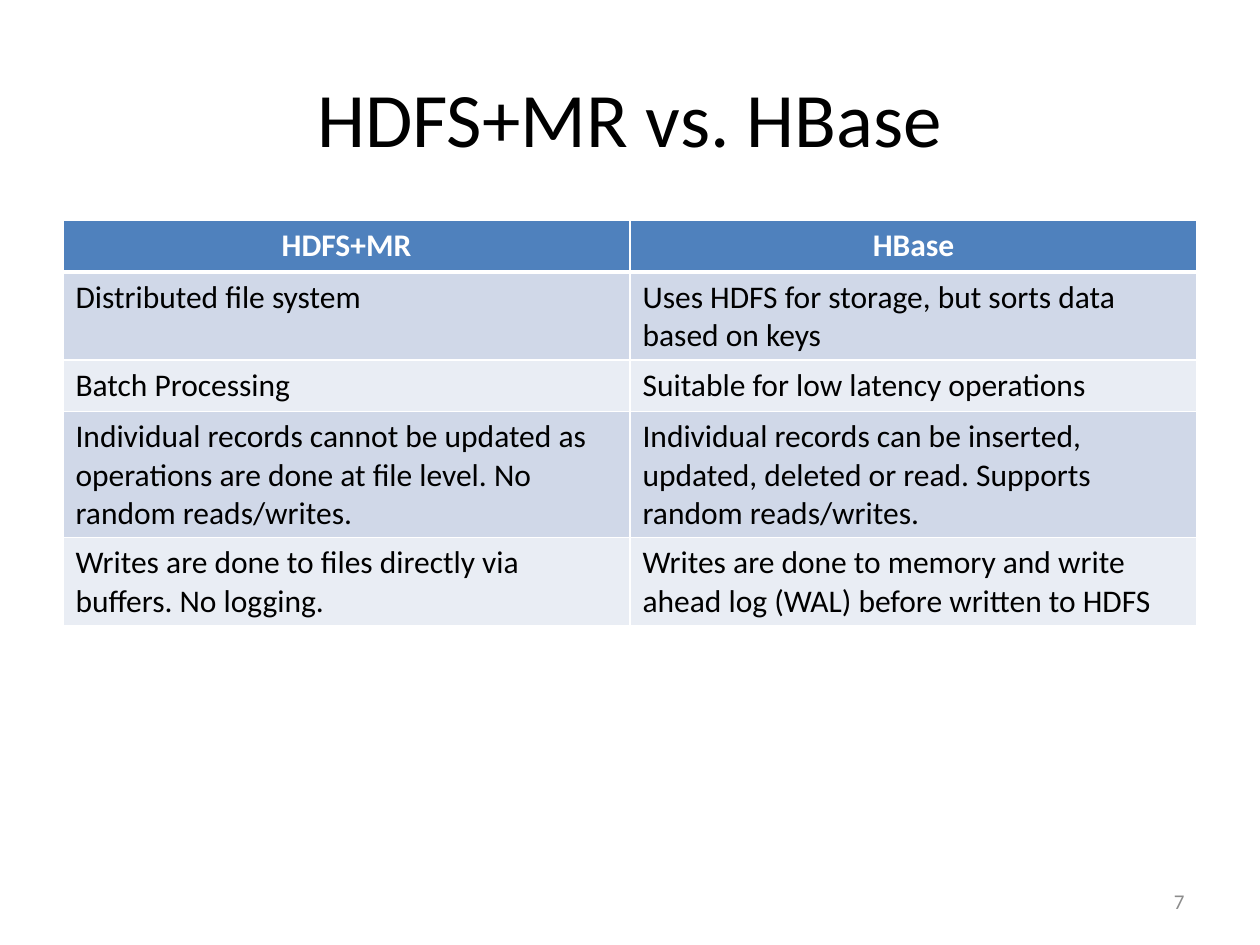
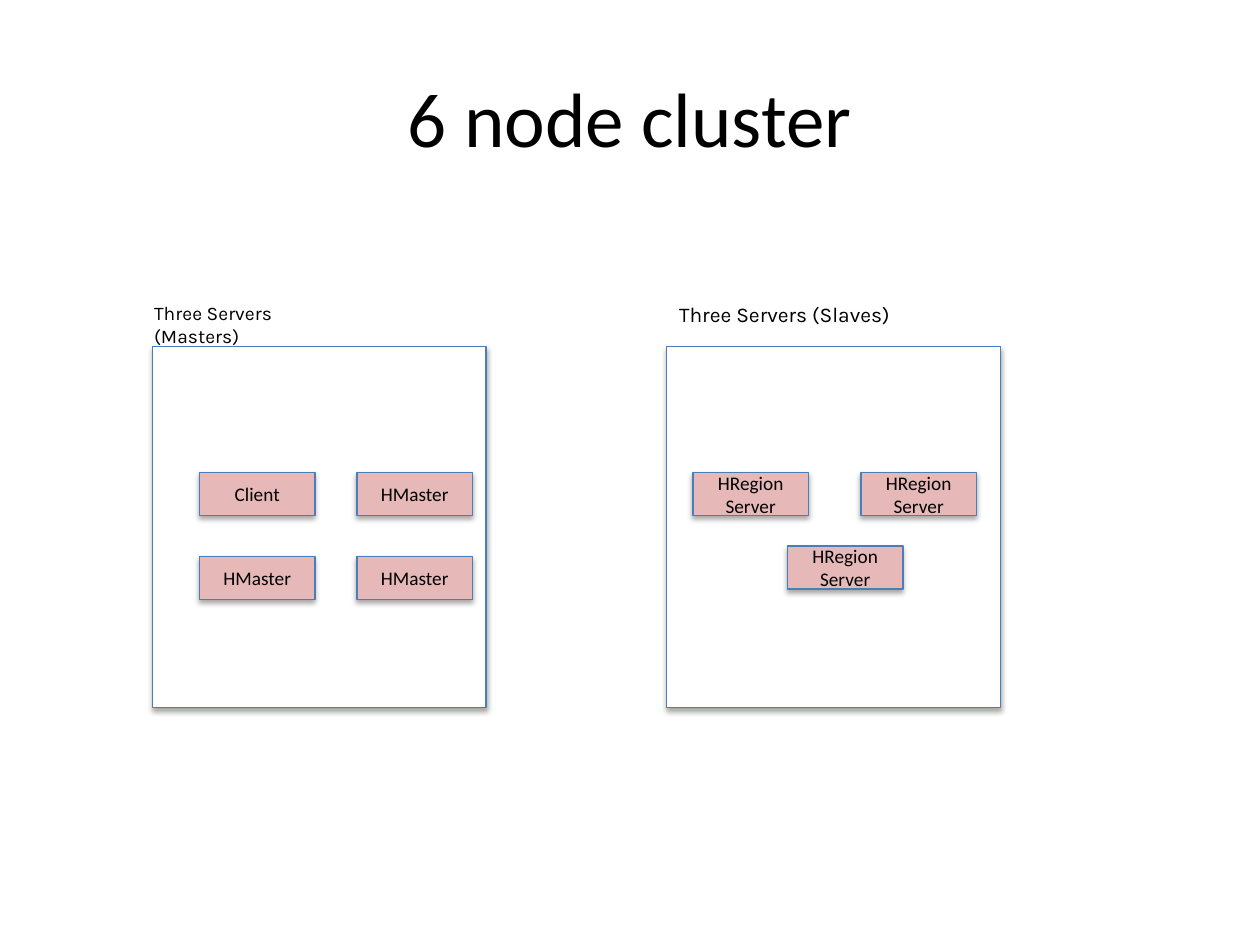
import pptx
import pptx.dml.color
import pptx.enum.shapes
import pptx.enum.text
import pptx.oxml
import pptx.oxml.ns
import pptx.util

ALIGN = pptx.enum.text.PP_ALIGN
ANCHOR = pptx.enum.text.MSO_ANCHOR
NS = pptx.oxml.ns.nsdecls("a")


def rgb(value):
    return pptx.dml.color.RGBColor.from_string(value)


class Deck:
    COLS, ROWS = 120, 90
    BLACK, WHITE, GREY = "000000", "FFFFFF", "8C8C8C"
    HEADER, BANDS = "4F81BD", ("D0D8E8", "E9EDF4")
    OUTLINE, NODE = "4A7EBB", "E6B9B8"
    TITLE = {"size": 44}
    NUMBER = {"size": 12, "color": GREY}
    CELL = {"size": 18}
    HEAD_CELL = {"size": 18, "bold": True, "color": WHITE}
    NODE_TEXT = {"size": 11}

    def __init__(self):
        self.prs = pptx.Presentation()
        self.prs.slide_width = pptx.util.Inches(10)
        self.prs.slide_height = pptx.util.Inches(7.5)
        self.s = None

    def box(self, x, y, w, h):
        col = self.prs.slide_width / self.COLS
        row = self.prs.slide_height / self.ROWS
        return [round(n) for n in (x * col, y * row, w * col, h * row)]

    def set_text(self, tf, text, style, align=ALIGN.LEFT):
        p = tf.paragraphs[0]
        p.alignment = align
        r = p.add_run()
        r.text = text
        values = {"name": "Calibri", "bold": False, "color": self.BLACK, **style}
        values["size"] = pptx.util.Pt(values["size"])
        r.font.color.rgb = rgb(values.pop("color"))
        for key, value in values.items():
            setattr(r.font, key, value)

    def text(self, place, text, style, align=ALIGN.LEFT, anchor=ANCHOR.TOP):
        tf = self.s.shapes.add_textbox(*self.box(*place)).text_frame
        tf.word_wrap = True
        tf.vertical_anchor = anchor
        self.set_text(tf, text, style, align)

    def slide(self, title):
        self.s = self.prs.slides.add_slide(self.prs.slide_layouts[6])
        self.text((6, 3.6, 108, 15), title, self.TITLE, ALIGN.CENTER, ANCHOR.MIDDLE)

    def number(self, text):
        self.text((86, 83.4, 28, 4.8), text, self.NUMBER, ALIGN.RIGHT, ANCHOR.MIDDLE)

    def rect(self, place, fill, text=None):
        sp = self.s.shapes.add_shape(
            pptx.enum.shapes.MSO_SHAPE.RECTANGLE, *self.box(*place))
        sp.fill.solid()
        sp.fill.fore_color.rgb = rgb(fill)
        sp.line.color.rgb = rgb(self.OUTLINE)
        sp.line.width = pptx.util.Pt(0.75)
        sp.shadow.inherit = False
        effects = sp._element.spPr.find(pptx.oxml.ns.qn("a:effectLst"))
        effects.append(pptx.oxml.parse_xml(
            f'<a:outerShdw {NS} blurRad="{pptx.util.Pt(3.1)}" '
            f'dist="{pptx.util.Pt(1.8)}" dir="5400000" rotWithShape="0">'
            f'<a:srgbClr val="{self.BLACK}"><a:alpha val="35000"/></a:srgbClr>'
            '</a:outerShdw>'))
        if text:
            sp.text_frame.word_wrap = True
            sp.text_frame.vertical_anchor = ANCHOR.MIDDLE
            self.set_text(sp.text_frame, text, self.NODE_TEXT, ALIGN.CENTER)

    def borders(self, cell, **widths):
        tc_pr = cell._tc.get_or_add_tcPr()
        for side in "LRTB":
            width = pptx.util.Pt(widths.get(side, 1))
            tc_pr.append(pptx.oxml.parse_xml(
                f'<a:ln{side} {NS} w="{width}"><a:solidFill>'
                f'<a:srgbClr val="{self.WHITE}"/></a:solidFill></a:ln{side}>'))

    def table(self, x, y, w, row_height, rows):
        place = self.box(x, y, w, row_height * len(rows))
        table = self.s.shapes.add_table(len(rows), len(rows[0]), *place).table
        for i, row in enumerate(rows):
            head = i == 0
            for j, text in enumerate(row):
                cell = table.cell(i, j)
                self.borders(cell, T=3 if i == 1 else 1, B=3 if head else 1)
                cell.fill.solid()
                cell.fill.fore_color.rgb = rgb(
                    self.HEADER if head else self.BANDS[(i - 1) % 2])
                self.set_text(cell.text_frame, text,
                              self.HEAD_CELL if head else self.CELL,
                              ALIGN.CENTER if head else ALIGN.LEFT)


COMPARISON = [
    ("HDFS+MR", "HBase"),
    ("Distributed file system",
     "Uses HDFS for storage, but sorts data based on keys"),
    ("Batch Processing", "Suitable for low latency operations"),
    ("Individual records cannot be updated as operations are done at file level. "
     "No random reads/writes.",
     "Individual records can be inserted, updated, deleted or read. "
     "Supports random reads/writes."),
    ("Writes are done to files directly via buffers. No logging.",
     "Writes are done to memory and write ahead log (WAL) before written to HDFS"),
]

SERVER_GROUPS = [
    (14.5, (13.5, 28.1, 21.6, 5.6), "Three Servers (Masters)", 11,
     [(19, 45, "Client"), (34, 45, "HMaster"),
      (19, 53, "HMaster"), (34, 53, "HMaster")]),
    (63.5, (63.5, 28.1, 23.3, 3.6), "Three Servers (Slaves)", 12,
     [(x, y, "HRegion Server") for x, y in ((66, 45), (82, 45), (75, 52))]),
]


def main():
    deck = Deck()
    deck.slide("HDFS+MR vs. HBase")
    deck.table(6, 21, 108, 4.9, COMPARISON)
    deck.number("7")

    deck.slide("6 node cluster")
    for left, label_place, label, size, nodes in SERVER_GROUPS:
        deck.rect((left, 33, 31.8, 34.4), deck.WHITE)
        deck.text(label_place, label, {"name": "Karla", "size": size})
        for x, y, name in nodes:
            deck.rect((x, y, 11, 4.1), deck.NODE, name)
    deck.prs.save("out.pptx")


if __name__ == "__main__":
    main()
